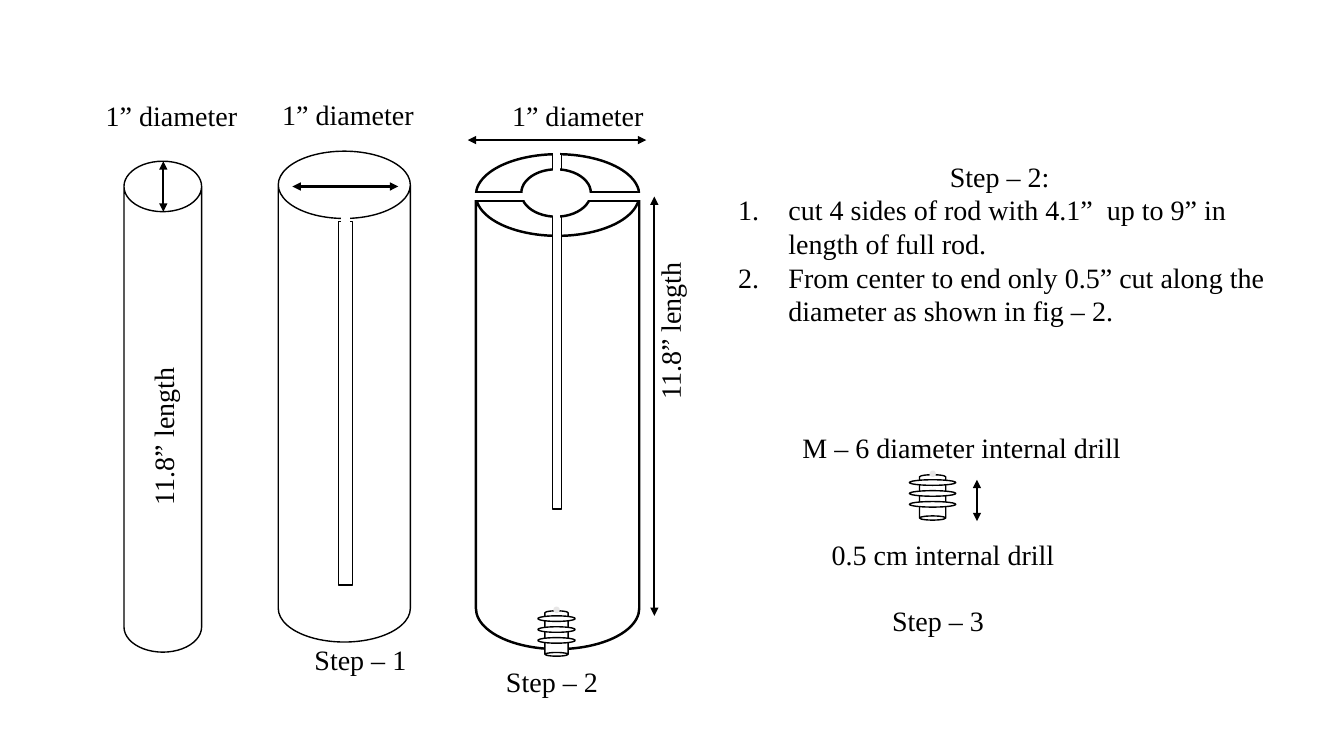
import dataclasses

import lxml.etree
import pptx
import pptx.dml.color
import pptx.enum.shapes
import pptx.enum.text
import pptx.oxml.ns
import pptx.util

KIND = pptx.enum.shapes.MSO_SHAPE
FIT = pptx.enum.text.MSO_AUTO_SIZE
ALIGN = pptx.enum.text.PP_ALIGN


@dataclasses.dataclass(frozen=True)
class Theme:
    """Colours, type and line widths of the slide."""
    ink: str = "000000"
    paper: str = "FFFFFF"
    grey: str = "AFABAB"
    tip: str = "E7E6E6"
    font: str = "Times New Roman"
    size: int = 20
    thin: float = 1
    medium: float = 1.5
    bold: float = 1.75


THEME = Theme()
COLUMNS, ROWS = 133.3, 75  # square cells, a tenth of an inch


def cells(count):
    """Length of a number of grid cells."""
    return pptx.util.Inches(round(count / 10, 3))


def colour(code):
    """Colour object of a hex code."""
    return pptx.dml.color.RGBColor.from_string(code)


def assign(target, values):
    """Set each attribute named in values."""
    for name, value in values.items():
        setattr(target, name, value)


def add_child(parent, tag, **attributes):
    """Append a DrawingML element to parent."""
    child = lxml.etree.SubElement(parent, pptx.oxml.ns.qn(tag))
    for name, value in attributes.items():
        child.set(name, value)


def solid(page, kind, at, fill=THEME.paper, line=THEME.ink,
          weight=THEME.thin, turn=0, curve=None, flipped=False):
    """Draw a filled, outlined preset shape."""
    shape = page.shapes.add_shape(kind, *map(cells, at))
    shape.shadow.inherit = False
    shape.rotation = turn
    shape.fill.solid()
    shape.fill.fore_color.rgb = colour(fill)
    shape.line.color.rgb = colour(line)
    shape.line.width = pptx.util.Pt(weight)
    if curve is not None:
        shape.adjustments[0] = curve
    if flipped:
        shape._element.spPr.get_or_add_xfrm().set("flipV", "1")


def slot(page, middle, length, width, upright=True, **look):
    """Draw a narrow cut centred on middle."""
    x, y = middle
    at = (x - length / 2, y - width / 2, length, width)
    solid(page, KIND.RECTANGLE, at, turn=270 if upright else 180, **look)


def dimension(page, start, end, weight=THEME.medium):
    """Draw a measuring line with an arrowhead at both ends."""
    arrow = page.shapes.add_connector(
        pptx.enum.shapes.MSO_CONNECTOR.STRAIGHT, *map(cells, start + end))
    arrow.line.color.rgb = colour(THEME.ink)
    arrow.line.width = pptx.util.Pt(weight)
    for tag in ("a:headEnd", "a:tailEnd"):
        add_child(arrow.line._get_or_add_ln(), tag, type="triangle")
    add_child(arrow._element.spPr, "a:effectLst")


def write(para, text):
    """Put one span of slide type in a paragraph."""
    span = para.add_run()
    span.text = text
    assign(span.font, {"name": THEME.font, "size": pptx.util.Pt(THEME.size)})
    span.font.color.rgb = colour(THEME.ink)


def label(page, text, left, top, width, turn=0):
    """Write a one-line caption."""
    box = page.shapes.add_textbox(*map(cells, (left, top, width, 4.4)))
    box.rotation = turn
    assign(box.text_frame, {"word_wrap": False,
                            "auto_size": FIT.SHAPE_TO_FIT_TEXT})
    write(box.text_frame.paragraphs[0], text)


def instructions(page, heading, steps, at):
    """Fill the body placeholder with a heading and numbered steps."""
    body = page.placeholders[1]
    assign(body, dict(zip(("left", "top", "width", "height"),
                          map(cells, at))))
    frame = body.text_frame
    assign(frame, {"word_wrap": True, "auto_size": FIT.NONE,
                   "vertical_anchor": pptx.enum.text.MSO_ANCHOR.TOP})
    for number, text in enumerate([heading] + steps):
        para = frame.add_paragraph() if number else frame.paragraphs[0]
        assign(para, {"alignment": ALIGN.LEFT if number else ALIGN.CENTER,
                      "space_before": pptx.util.Pt(0), "line_spacing": 1.0})
        indent = cells(5) if number else 0
        layout = para._p.get_or_add_pPr()
        layout.set("marL", str(indent))
        layout.set("indent", str(-indent))
        if number:
            add_child(layout, "a:buFont", typeface="+mj-lt")
            add_child(layout, "a:buAutoNum", type="arabicPeriod")
        else:
            add_child(layout, "a:buNone")
        write(para, text)


def drill(page, middle, top, core, ring):
    """Draw a threaded drill: core, three rings and a pale tip."""
    solid(page, KIND.CAN, (middle - core / 2, top, core, 4.5),
          curve=0.16, flipped=True)
    for turn in range(3):
        solid(page, KIND.OVAL,
              (middle - ring / 2, top + 0.5 + 1.08 * turn, ring, 0.55))
    solid(page, KIND.OVAL, (middle - 0.25, top - 0.35, 0.5, 0.5),
          fill=THEME.tip, line=THEME.tip)


def plain_rod(page):
    """Draw the uncut rod."""
    solid(page, KIND.CAN, (12.3, 16, 7.7, 48.7), curve=0.65)
    dimension(page, (16.2, 16), (16.2, 21), 1.25)
    label(page, "11.8” length", 8.3, 41, 15.8, 270)
    label(page, "1” diameter ", 9.5, 9.3, 15.9)


def slotted_rod(page):
    """Draw step 1, the rod with one long slot."""
    solid(page, KIND.CAN, (27.6, 15, 13.1, 48.7), curve=0.51)
    slot(page, (34.25, 40), 36.1, 1.4)
    slot(page, (34.35, 28.35), 12.3, 0.9, line=THEME.paper)
    slot(page, (34.25, 22), 6.5, 0.8, line=THEME.paper)
    label(page, "1” diameter ", 27, 9.2, 15.9)
    dimension(page, (29, 18.5), (39.5, 18.5), 2)
    label(page, "Step – 1 ", 30.2, 63.3, 11.9)


def quartered_rod(page):
    """Draw step 2, the rod cut on four sides with a drilled foot."""
    middle, cut = 55.25, 19.5
    solid(page, KIND.CAN, (47.2, 15.3, 16.2, 49.1),
          weight=THEME.bold, curve=0.5)
    slot(page, (middle, 19.65), 8.7, 0.9)
    slot(page, (middle, cut), 15.9, 0.9, upright=False)
    slot(page, (middle, 35.45), 30.1, 0.9)
    hub = {"fill": THEME.grey, "line": THEME.paper}
    slot(page, (middle, cut), 5.9, 1, upright=False, **hub)
    slot(page, (middle, cut), 3.3, 0.8, **hub)
    solid(page, KIND.OVAL, (51.7, 16.8, 6.9, 4.7), weight=THEME.bold)
    slot(page, (55.2, cut), 19.2, 0.6, upright=False, line=THEME.paper)
    slot(page, (55.2, 24), 22.6, 0.6, line=THEME.paper)
    drill(page, 55.2, 60.6, 2.3, 3.7)
    dimension(page, (64.9, 19.5), (64.9, 61.1))
    label(page, "11.8” length ", 58.2, 30.2, 16.5, 270)
    dimension(page, (46.4, 13.9), (64.1, 13.9), THEME.thin)
    label(page, "1” diameter", 49.8, 9.3, 15.2)
    label(page, "Step – 2", 49.2, 65.4, 11.2)


def internal_drill(page):
    """Draw step 3, the drill with its size."""
    drill(page, 92.5, 47.1, 2.6, 4.6)
    label(page, "M – 6 diameter internal drill", 78.6, 42.2, 33.8)
    dimension(page, (96.9, 47.6), (96.9, 51.7))
    label(page, "0.5 cm internal drill", 81.5, 52.8, 24.2)
    label(page, "Step – 3 ", 87.5, 59.4, 11.9)


def main():
    """Build the slide and save it."""
    deck = pptx.Presentation()
    assign(deck, {"slide_width": cells(COLUMNS), "slide_height": cells(ROWS)})
    page = deck.slides.add_slide(deck.slide_layouts[1])
    title = page.shapes.title._element
    title.getparent().remove(title)
    plain_rod(page)
    slotted_rod(page)
    instructions(page, "Step – 2: ", [
        "cut 4 sides of rod with 4.1”  up to 9” in length of full rod.",
        "From center to end only 0.5” cut along the diameter as shown "
        "in fig – 2. "], (72.2, 15.3, 54.6, 17.8))
    quartered_rod(page)
    internal_drill(page)
    deck.save("out.pptx")


main()
